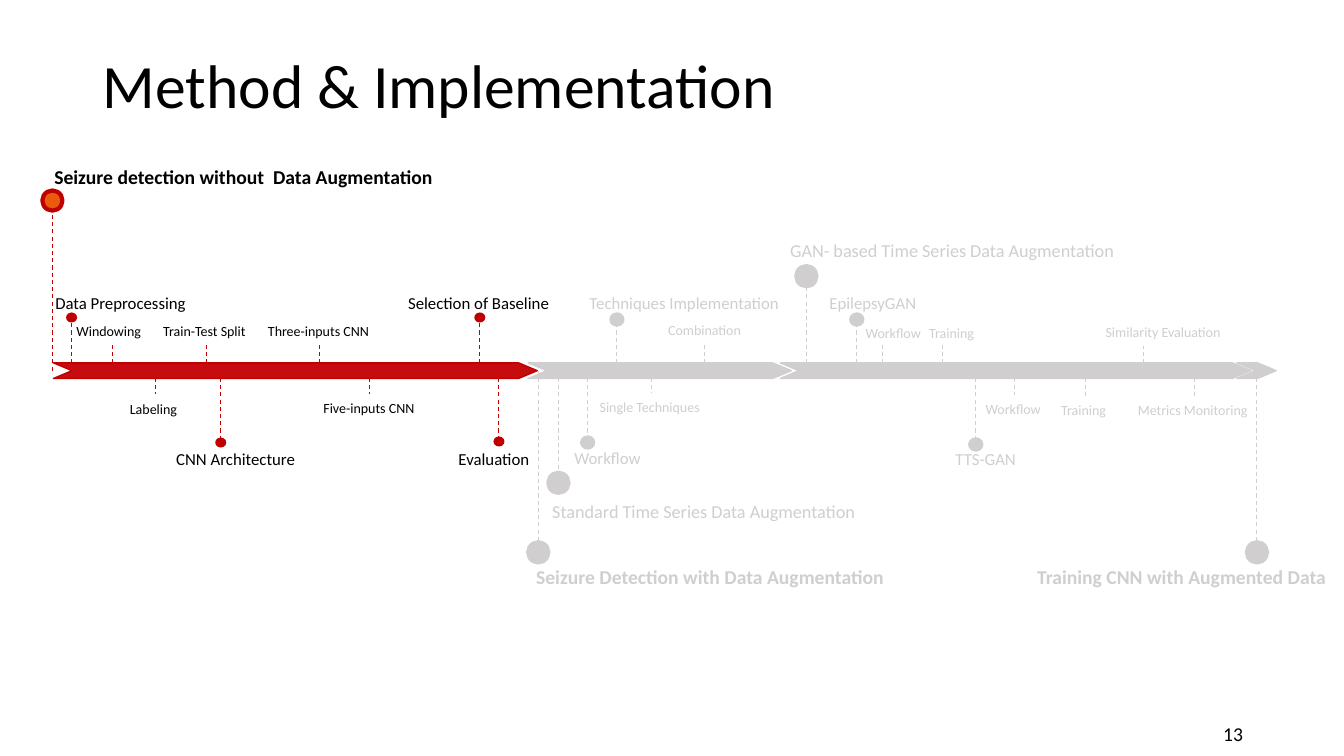
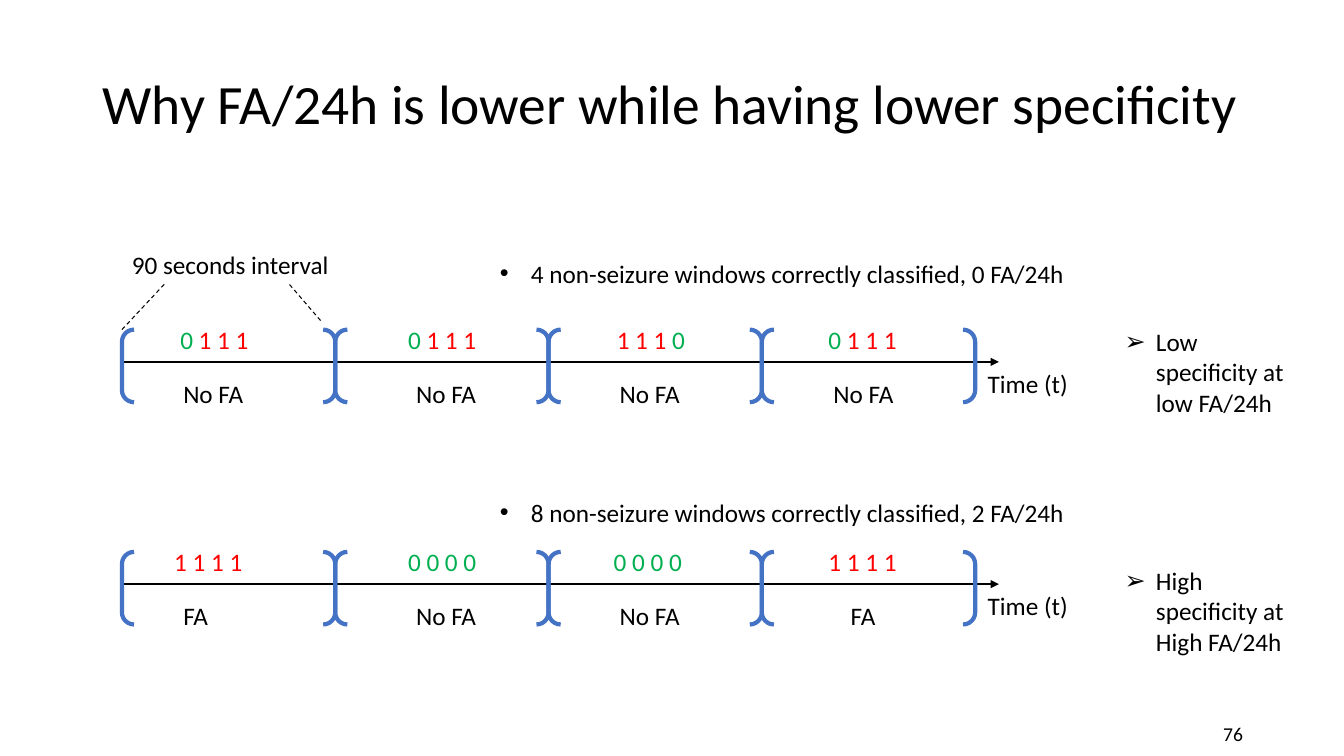
from dataclasses import dataclass
from itertools import groupby

from lxml import etree
from pptx import Presentation
from pptx import util as u
from pptx.dml.color import RGBColor
from pptx.enum import dml, shapes, text
from pptx.oxml.ns import qn

COLUMNS, ROWS = 133.33, 75
CELL = u.Inches(0.1)


@dataclass(frozen=True)
class Theme:
    font: str = "Calibri"
    ink: str = "000000"
    muted: str = "D0CECE"
    red: str = "C00000"
    bar_red: str = "C60C0F"
    orange: str = "EA5B0C"
    blue: str = "4472C4"
    correct: str = "00B050"
    wrong: str = "FF0000"
    title: float = 44
    long_title: float = 39.6
    body: float = 18
    page: float = 14
    hairline: float = 0.75
    axis: float = 1.5
    heavy: float = 3


THEME = Theme()


@dataclass(frozen=True)
class Tone:
    ink: str
    accent: str
    core: str
    stage_rim: float


ACTIVE = Tone(THEME.ink, THEME.red, THEME.orange, 0)
MUTED = Tone(THEME.muted, THEME.muted, THEME.muted, THEME.heavy)


@dataclass(frozen=True)
class Level:
    size: float
    bold: bool = False
    wrap: bool = False
    dot: tuple = ()


STEP = Level(10)
STAGE = Level(12, dot=(1.1, 1))
PART = Level(13, wrap=True, dot=(2, 2))
PHASE = Level(14, bold=True, wrap=True, dot=(2, 2))

BAR_TOP, BAR_HEIGHT = 36, 1.55
BAR_MIDDLE = BAR_TOP + BAR_HEIGHT / 2

# left, width, fill, line
BARS = [
    (5.3, 48, THEME.bar_red, THEME.red),
    (77.4, 46.7, THEME.muted, THEME.muted),
    (52.4, 26.1, THEME.muted, THEME.muted),
    (122.7, 3.9, THEME.muted, THEME.muted),
]

# level, label, label left, label top, label width, stem column, stem end row
ACTIVE_MARKERS = [
    (PHASE, "Seizure detection without  Data Augmentation", 4.4, 15.9, 44.8, 5.2, 19.9),
    (STAGE, "Data Preprocessing", 4.5, 28.6, 15.1, 7.1, 31.5),
    (STEP, "Windowing", 6.6, 31.5, 8.5, 11.2, 34.2),
    (STEP, "Labeling", 11.9, 39.2, 6.8, 15.4, 39.1),
    (STEP, "Train-Test Split", 15.2, 31.5, 10.5, 20.5, 34.2),
    (STAGE, "CNN Architecture", 16.5, 44, 13.9, 21.9, 43.9),
    (STEP, "Three-inputs CNN", 25.6, 31.5, 12.2, 31.7, 34.2),
    (STEP, "Five-inputs CNN", 31.1, 39.1, 11.2, 36.7, 39.1),
    (STAGE, "Selection of Baseline", 39.5, 28.6, 16.2, 47.6, 31.5),
    (STAGE, "Evaluation", 44.5, 44, 9.1, 49.5, 43.8),
]
MUTED_MARKERS = [
    (PHASE, "Seizure Detection with Data Augmentation", 52.2, 55.5, 44.1, 53.4, 54.8),
    (PART, "Standard Time Series Data Augmentation", 53.8, 49.1, 44.1, 55.4, 47.9),
    (STAGE, "Workflow", 56, 43.9, 8.7, 58.3, 43.9),
    (STAGE, "Techniques Implementation", 57.5, 28.6, 21, 61.2, 31.7),
    (STEP, "Single Techniques", 58.5, 39, 12.2, 64.6, 39),
    (STEP, "Combination", 65.3, 31.4, 9.3, 69.9, 34.1),
    (PART, "GAN- based Time Series Data Augmentation", 77.4, 23.2, 44.1, 80, 27.4),
    (STAGE, "EpilepsyGAN", 81.3, 28.6, 10.7, 85, 31.7),
    (STEP, "Workflow", 84.9, 31.7, 7.6, 87.5, 34.1),
    (STEP, "Training", 91.2, 31.7, 6.6, 93.5, 34.1),
    (STAGE, "TTS-GAN", 93.8, 44, 8.1, 96.8, 44.1),
    (STEP, "Workflow", 96.8, 39.2, 7.6, 100.6, 39.2),
    (STEP, "Training", 104.3, 39.3, 6.6, 107.7, 39.3),
    (STEP, "Similarity Evaluation", 108.7, 31.6, 13.6, 113.4, 34.3),
    (STEP, "Metrics Monitoring", 111.9, 39.3, 13, 118.5, 39.3),
    (PHASE, "Training CNN with Augmented Data", 101.9, 55.5, 31, 124.7, 54.8),
]

AXIS_LEFT, AXIS_RIGHT = 12.1, 99.1
INTERVAL, BRACKET_HEIGHT = 21.16, 7.2

# axis row, note row, note, conclusion, intervals as (windows, left, verdict, left)
TIMELINES = [
    (35.9, 25.1, "4 non-seizure windows correctly classified, 0 FA/24h",
     "Low specificity at low FA/24h",
     [("0 1 1 1", 16.9, "No FA", 17.2), ("0 1 1 1", 39.5, "No FA", 40.3),
      ("1 1 1 0", 60.2, "No FA", 60.5), ("0 1 1 1", 81.2, "No FA", 81.7)]),
    (57.95, 48.8, "8 non-seizure windows correctly classified, 2 FA/24h",
     "High specificity at High FA/24h",
     [("1 1 1 1", 16.3, "FA", 17.2), ("0 0 0 0", 39.5, "No FA", 40.3),
      ("0 0 0 0", 59.9, "No FA", 60.5), ("1 1 1 1", 81.2, "FA", 83.4)]),
]


def cells(*counts):
    return [u.Emu(round(count * CELL)) for count in counts]


def assign(target, **values):
    for name, value in values.items():
        setattr(target, name, value)


def color(code):
    return RGBColor.from_string(code)


def set_line(line, code, width, dashed=False):
    line.color.rgb = color(code)
    line.width = u.Pt(width)
    if dashed:
        line.dash_style = dml.MSO_LINE.DASH


def add_label(slide, runs, left, top, width, size=THEME.body, height=None,
              ink=THEME.ink, bold=False, wrap=False, bullet=None,
              anchor=text.MSO_ANCHOR.TOP, **paragraph_format):
    """Write one paragraph; runs is a string or a list of (string, colour)."""
    height = height or 1 + size * 0.17
    frame = slide.shapes.add_textbox(*cells(left, top, width, height)).text_frame
    assign(frame, word_wrap=wrap, vertical_anchor=anchor)
    paragraph = frame.paragraphs[0]
    if bullet:
        add_bullet(paragraph, bullet)
    assign(paragraph, **paragraph_format)
    for words, code in [(runs, ink)] if isinstance(runs, str) else runs:
        run = paragraph.add_run()
        run.text = words
        assign(run.font, name=THEME.font, size=u.Pt(size), bold=bold)
        run.font.color.rgb = color(code)


def add_bullet(paragraph, mark):
    properties = paragraph._p.get_or_add_pPr()
    indent = u.Inches(0.31)
    properties.set("marL", str(indent))
    properties.set("indent", str(-indent))
    etree.SubElement(properties, qn("a:buFont")).set("typeface", "Arial")
    etree.SubElement(properties, qn("a:buChar")).set("char", mark)


def add_figure(slide, preset, box, fill=None, line=None, width=0):
    figure = slide.shapes.add_shape(preset, *cells(*box))
    figure.shadow.inherit = False
    if fill:
        figure.fill.solid()
        figure.fill.fore_color.rgb = color(fill)
    else:
        figure.fill.background()
    if width:
        set_line(figure.line, line, width)
    else:
        figure.line.fill.background()
    return figure


def add_rule(slide, start, end, code, width=THEME.hairline, dashed=True, arrow=False):
    rule = slide.shapes.add_connector(shapes.MSO_CONNECTOR.STRAIGHT, *cells(*start, *end))
    set_line(rule.line, code, width, dashed)
    if arrow:
        tail = etree.SubElement(rule.line._get_or_add_ln(), qn("a:tailEnd"))
        tail.set("type", "triangle")
    etree.SubElement(rule._element.spPr, qn("a:effectLst"))


def add_page(deck, title, number, top, height, size=THEME.title):
    slide = deck.slides.add_slide(deck.slide_layouts[6])
    middle = text.MSO_ANCHOR.MIDDLE
    add_label(slide, title, 9.2, top, 115, size, height, wrap=True,
              anchor=middle, line_spacing=0.9)
    add_label(slide, number, 94.3, 70.8, 30, THEME.page, 4, wrap=True,
              anchor=middle, alignment=text.PP_ALIGN.RIGHT)
    return slide


def add_marker(slide, tone, level, label, left, top, width, column, row):
    if level.dot:
        across, down = level.dot
        is_stage = level is STAGE
        add_figure(slide, shapes.MSO_SHAPE.FLOWCHART_CONNECTOR,
                   (column - across / 2, row - down / 2, across, down),
                   tone.accent if is_stage else tone.core, tone.accent,
                   tone.stage_rim if is_stage else THEME.heavy)
    add_label(slide, label, left, top, width, level.size, ink=tone.ink,
              bold=level.bold, wrap=level.wrap)


def add_roadmap(slide):
    markers = [(tone, *marker)
               for tone, group in ((MUTED, MUTED_MARKERS), (ACTIVE, ACTIVE_MARKERS))
               for marker in group]
    for tone, *_, column, row in markers:
        add_rule(slide, (column, BAR_MIDDLE), (column, row), tone.accent)
    for left, width, fill, line in BARS:
        bar = add_figure(slide, shapes.MSO_SHAPE.CHEVRON,
                         (left, BAR_TOP, width, BAR_HEIGHT), fill, line, 1)
        bar.adjustments[0] = 1.194
    for marker in markers:
        add_marker(slide, *marker)


def window_runs(windows):
    """Split the windows into runs of equal digits, coloured by correctness."""
    runs = []
    for digit, group in groupby(windows.split()):
        gap = " " if runs else ""
        runs.append((gap + " ".join(group),
                     THEME.correct if digit == "0" else THEME.wrong))
    return runs


def add_timeline(slide, axis, note_row, note, conclusion, intervals):
    add_rule(slide, (AXIS_LEFT, axis), (AXIS_RIGHT, axis), THEME.ink,
             THEME.axis, dashed=False, arrow=True)
    add_label(slide, "Time (t)", 97, axis + 0.1, 10.1)
    for index, (windows, windows_left, verdict, verdict_left) in enumerate(intervals):
        add_figure(slide, shapes.MSO_SHAPE.DOUBLE_BRACKET,
                   (AXIS_LEFT + index * INTERVAL, axis - 3.2, INTERVAL, BRACKET_HEIGHT),
                   line=THEME.blue, width=THEME.heavy)
        add_label(slide, window_runs(windows), windows_left, axis - 4.2, 8.9)
        add_label(slide, verdict, verdict_left, axis + 1.1, 4.5 if verdict == "FA" else 8)
    add_label(slide, note, 48.6, note_row, 59, wrap=True, bullet="•")
    add_label(slide, conclusion, 110.6, note_row + 6.8, 19.7, height=10.1,
              wrap=True, bullet="➢")


def add_interval_callout(slide):
    add_label(slide, "90 seconds interval", AXIS_LEFT, 24.2, 21.8)
    for start, end in (((12.1, 32.7), (16.3, 28.2)), ((31.8, 31.8), (28.7, 28.2))):
        add_rule(slide, start, end, THEME.ink)


def main():
    deck = Presentation()
    deck.slide_width, deck.slide_height = cells(COLUMNS, ROWS)

    add_roadmap(add_page(deck, "Method & Implementation", "13", 1.5, 14.5))

    comparison = add_page(deck, "Why FA/24h is lower while having lower specificity",
                          "76", 4, 13.1, THEME.long_title)
    for timeline in TIMELINES:
        add_timeline(comparison, *timeline)
    add_interval_callout(comparison)

    deck.save("out.pptx")


if __name__ == "__main__":
    main()
